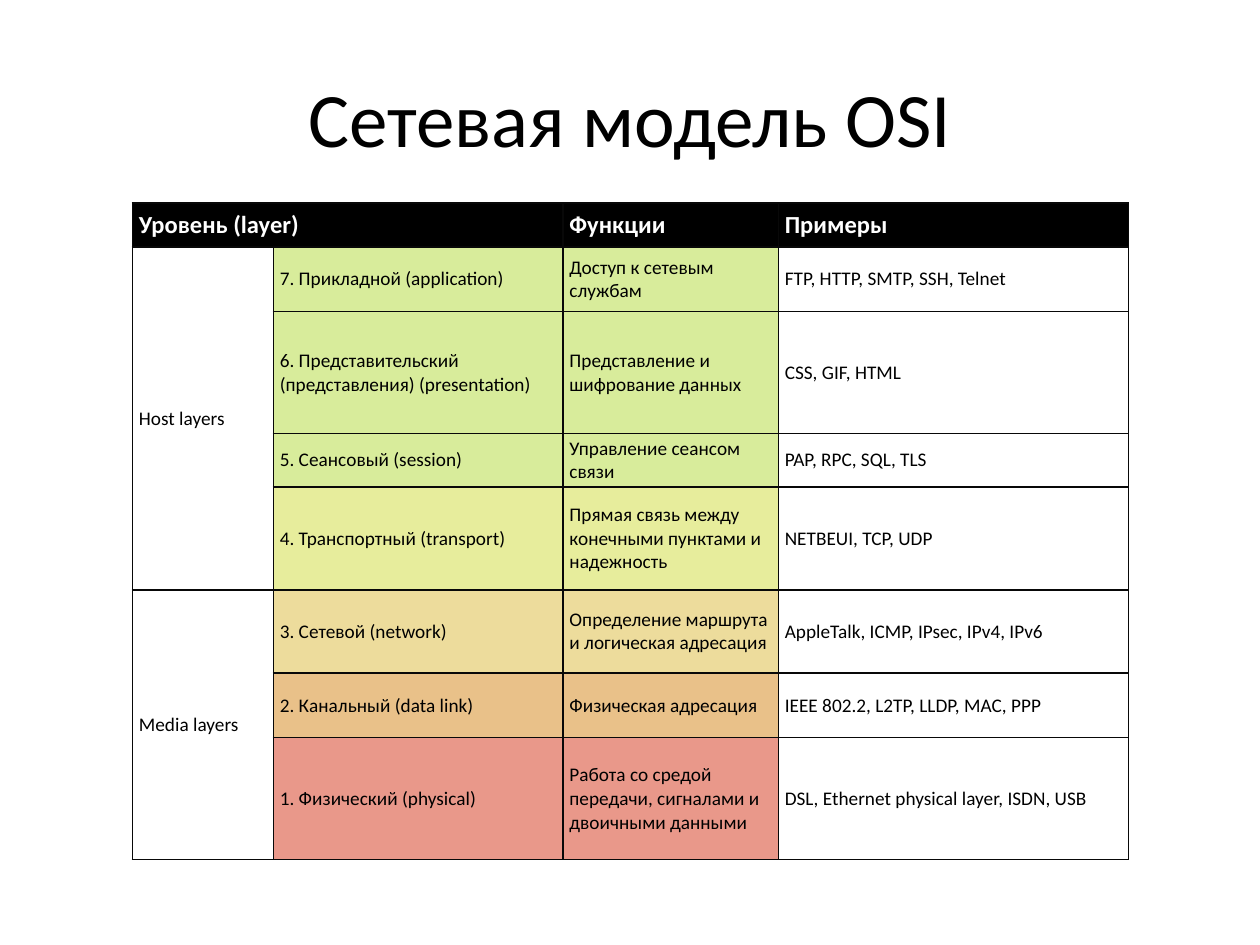
from lxml.etree import SubElement
from pptx import Presentation
from pptx.dml.color import RGBColor
from pptx.enum.text import MSO_ANCHOR as Anchor, PP_ALIGN as Align
from pptx.oxml.ns import qn
from pptx.util import Cm, Pt

FONT = "Calibri"
BLACK = RGBColor(0x00, 0x00, 0x00)
WHITE = RGBColor(0xFF, 0xFF, 0xFF)
EDGE = RGBColor(0x08, 0x08, 0x08)
GREEN = RGBColor(0xD8, 0xEC, 0x9B)
LIME = RGBColor(0xE7, 0xED, 0x9C)
SAND = RGBColor(0xED, 0xDC, 0x9C)
AMBER = RGBColor(0xE9, 0xC1, 0x89)
RED = RGBColor(0xE9, 0x98, 0x8A)

TITLE = "Сетевая модель OSI"
HEAD = ("Уровень (layer)", "", "Функции", "Примеры")
HEAD_H = 0.89
WIDTHS = (2.84, 5.84, 4.34, 7.06)

# Each group: name, then layers as (name, function, examples, colour, height in cm)
GROUPS = [
    ("Host layers", [
        ("7. Прикладной (application)", "Доступ к сетевым службам",
         "FTP, HTTP, SMTP, SSH, Telnet", GREEN, 1.3),
        ("6. Представительский (представления) (presentation)",
         "Представление и шифрование данных",
         "CSS, GIF, HTML", GREEN, 2.46),
        ("5. Сеансовый (session)", "Управление сеансом связи",
         "PAP, RPC, SQL, TLS", GREEN, 1.08),
        ("4. Транспортный (transport)",
         "Прямая связь между конечными пунктами и надежность",
         "NETBEUI, TCP, UDP", LIME, 2.07),
    ]),
    ("Media layers", [
        ("3. Сетевой (network)", "Определение маршрута и логическая адресация",
         "AppleTalk, ICMP, IPsec, IPv4, IPv6", SAND, 1.68),
        ("2. Канальный (data link)", "Физическая адресация",
         "IEEE 802.2, L2TP, LLDP, MAC, PPP", AMBER, 1.3),
        ("1. Физический (physical)",
         "Работа со средой передачи, сигналами и двоичными данными",
         "DSL, Ethernet physical layer, ISDN, USB", RED, 2.46),
    ]),
]


def write(para, text, size, color, bold=False):
    run = para.add_run()
    run.text = text
    font = run.font
    font.name, font.size, font.bold = FONT, Pt(size), bold
    font.color.rgb = color


def edge(cell):
    """Draw a thin line on all four sides of the cell."""
    props = cell._tc.get_or_add_tcPr()
    for side in ("lnL", "lnR", "lnT", "lnB"):
        line = SubElement(props, qn("a:" + side), w=str(Pt(1)))
        fill = SubElement(line, qn("a:solidFill"))
        SubElement(fill, qn("a:srgbClr"), val=str(EDGE))


def style(cell, text, fill=None, size=11, color=BLACK, bold=False):
    edge(cell)
    cell.margin_left = cell.margin_right = Cm(0.13)
    cell.margin_top = cell.margin_bottom = Cm(0.05)
    cell.vertical_anchor = Anchor.MIDDLE
    if fill is None:
        cell.fill.background()
    else:
        cell.fill.solid()
        cell.fill.fore_color.rgb = fill
    if text:
        write(cell.text_frame.paragraphs[0], text, size, color, bold)


def add_title(slide):
    title = slide.shapes.title
    title.left, title.top = Cm(1.27), Cm(0.76)
    title.width, title.height = Cm(22.86), Cm(3.18)
    title.text_frame.vertical_anchor = Anchor.MIDDLE
    para = title.text_frame.paragraphs[0]
    para.alignment = Align.CENTER
    write(para, TITLE, 44, BLACK)


def add_layers(slide):
    heights = [HEAD_H] + [layer[-1] for _, layers in GROUPS for layer in layers]
    table = slide.shapes.add_table(
        len(heights), len(WIDTHS), Cm(2.67), Cm(4.09),
        Cm(sum(WIDTHS)), Cm(sum(heights))).table
    table.first_row = table.horz_banding = False
    for col, width in zip(table.columns, WIDTHS):
        col.width = Cm(width)
    for row, height in zip(table.rows, heights):
        row.height = Cm(height)

    for col, text in enumerate(HEAD):
        style(table.cell(0, col), text, BLACK, 14, WHITE, True)
    table.cell(0, 0).merge(table.cell(0, 1))

    row = 1
    for group, layers in GROUPS:
        first = row
        for name, role, samples, color, _ in layers:
            style(table.cell(row, 0), group if row == first else "")
            style(table.cell(row, 1), name, color)
            style(table.cell(row, 2), role, color)
            style(table.cell(row, 3), samples)
            row += 1
        table.cell(first, 0).merge(table.cell(row - 1, 0))


def main():
    deck = Presentation()
    deck.slide_width, deck.slide_height = Cm(25.4), Cm(19.05)
    slide = deck.slides.add_slide(deck.slide_layouts[5])
    add_title(slide)
    add_layers(slide)
    deck.save("out.pptx")


if __name__ == "__main__":
    main()
